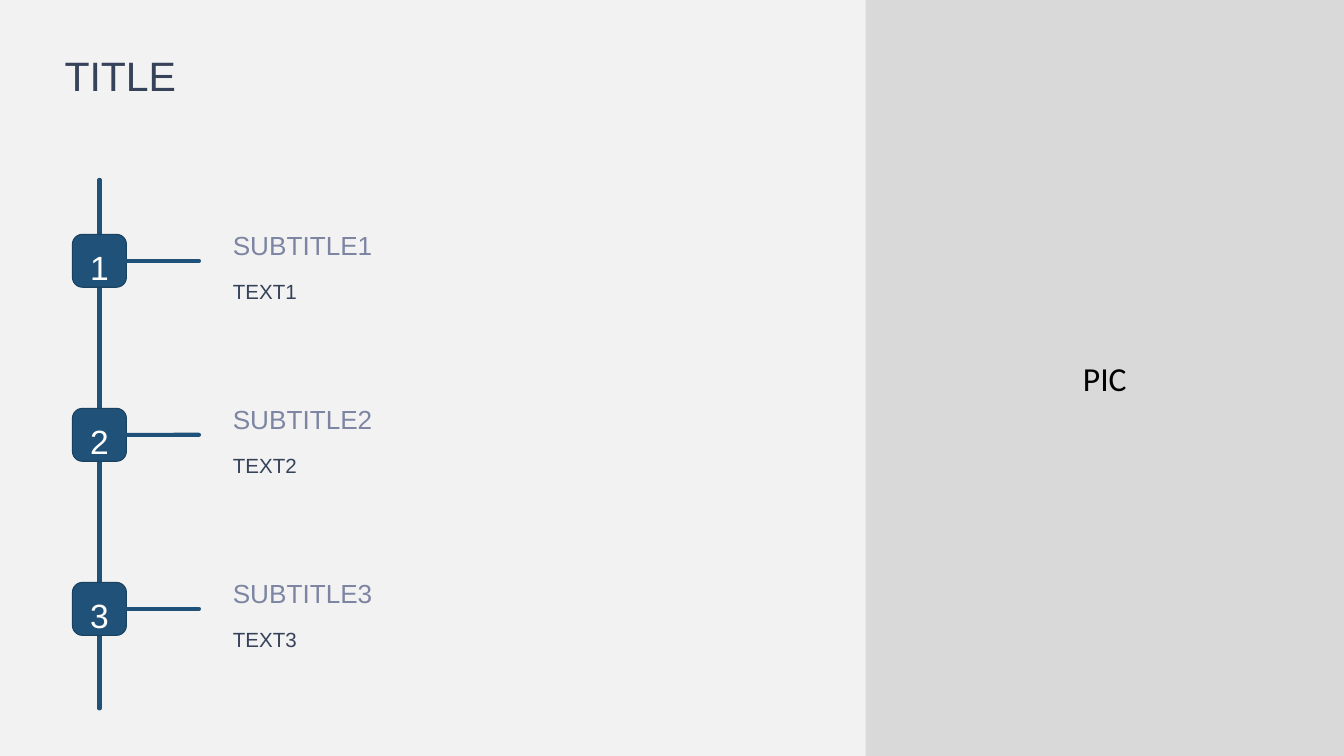
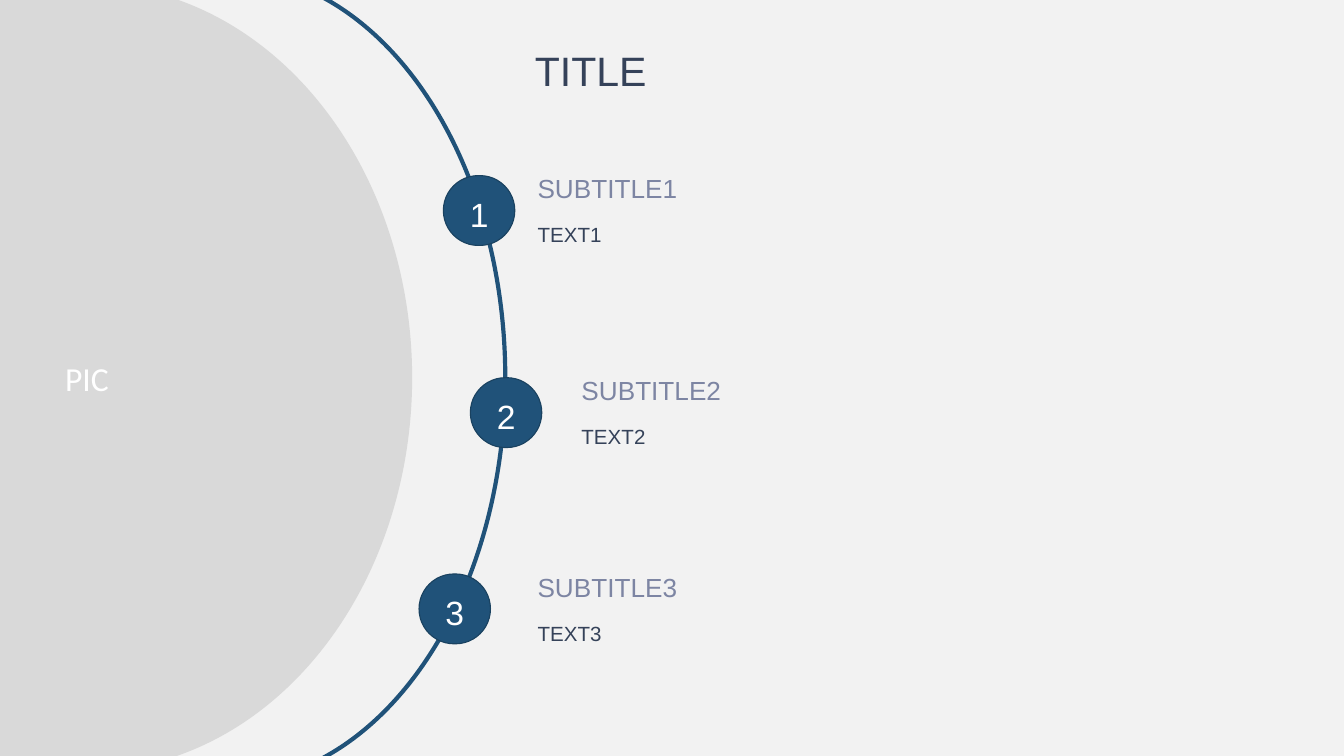
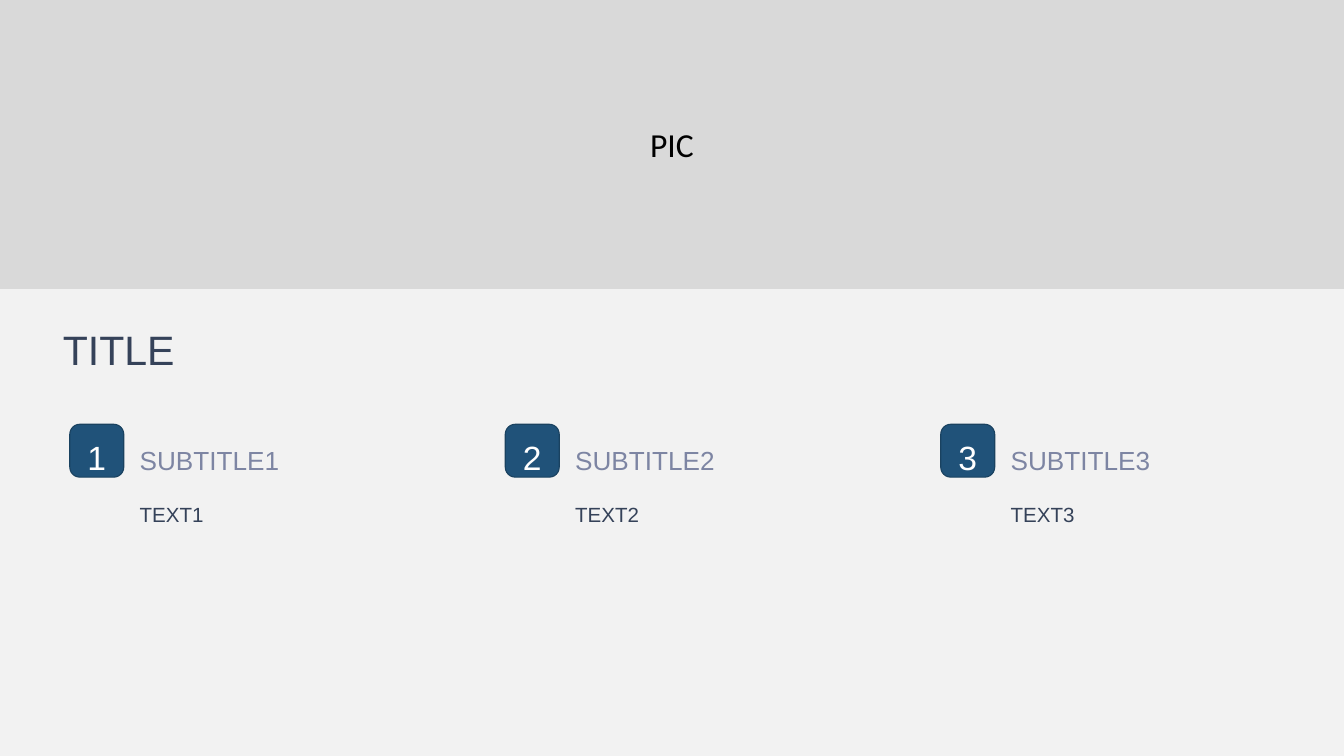
from dataclasses import dataclass

from lxml import etree
from pptx import Presentation
from pptx import util as u
from pptx.dml.color import RGBColor
from pptx.enum import shapes, text
from pptx.oxml import ns
from pptx.util import Cm

SLIDE_W, SLIDE_H = 25.4, 14.29


@dataclass(frozen=True)
class Theme:
    background: str = "F2F2F2"
    picture: str = "D9D9D9"
    accent: str = "205279"
    accent_edge: str = "1A4260"
    title: str = "354259"
    subtitle: str = "7D85A3"
    white: str = "FFFFFF"
    black: str = "000000"
    font: str = "Arial"
    picture_font: str = "Calibri"
    title_size: float = 22
    label_size: float = 18
    subtitle_size: float = 14
    body_size: float = 11
    line_width: float = 2.25
    edge_width: float = 0.6
    line_spacing: float = 1.1


class Deck:
    def __init__(self, theme):
        self.theme = theme
        self.prs = Presentation()
        self.prs.slide_width, self.prs.slide_height = Cm(SLIDE_W), Cm(SLIDE_H)
        self.s = None

    def new_slide(self):
        self.s = self.prs.slides.add_slide(self.prs.slide_layouts[6])
        self.paint(self.s.background.fill, self.theme.background)

    @staticmethod
    def paint(fill, color):
        fill.solid()
        fill.fore_color.rgb = RGBColor.from_string(color)

    def stroke(self, line, color, width):
        self.paint(line.fill, color)
        line.width = u.Pt(width)

    @staticmethod
    def set_text(tf, words, size, color, font, align):
        p = tf.paragraphs[0]
        p.text = words
        p.alignment = align
        p.font.size = u.Pt(size)
        p.font.name = font
        p.font.color.rgb = RGBColor.from_string(color)
        return p

    def text(self, words, x, y, w, h, size, color, anchor=text.MSO_ANCHOR.TOP,
             align=text.PP_ALIGN.LEFT, parent=None):
        box = (parent or self.s.shapes).add_textbox(Cm(x), Cm(y), Cm(w), Cm(h))
        tf = box.text_frame
        tf.word_wrap = True
        tf.vertical_anchor = anchor
        p = self.set_text(tf, words, size, color, self.theme.font, align)
        p.line_spacing = self.theme.line_spacing
        return box

    def shape(self, kind, x, y, w, h, corner=None, parent=None):
        sp = (parent or self.s.shapes).add_shape(kind, Cm(x), Cm(y), Cm(w), Cm(h))
        sp.shadow.inherit = False
        if corner is not None:
            sp.adjustments[0] = corner
        return sp

    def title(self, x, y, w=14.27, h=2.54):
        self.text("TITLE", x, y, w, h, self.theme.title_size, self.theme.title)

    def entry(self, n, x, y, w, subtitle_h=1.52, body_dy=1.57, body_h=1.42):
        """Subtitle n with its body text below it."""
        t = self.theme
        self.text(f"SUBTITLE{n}", x, y, w, subtitle_h, t.subtitle_size, t.subtitle,
                  text.MSO_ANCHOR.BOTTOM)
        self.text(f"TEXT{n}", x, y + body_dy, w, body_h, t.body_size, t.title)

    def badge(self, n, x, y, w=1.02, h=1.0, corner=0.19, number_dy=0.03, grouped=False):
        t = self.theme
        parent = self.s.shapes.add_group_shape().shapes if grouped else self.s.shapes
        sp = self.shape(shapes.MSO_SHAPE.ROUNDED_RECTANGLE, x, y, w, h, corner, parent)
        self.paint(sp.fill, t.accent)
        self.stroke(sp.line, t.accent_edge, t.edge_width)
        box = self.text(str(n), x, y + number_dy, w, 1.02, t.label_size, t.white,
                        align=text.PP_ALIGN.CENTER, parent=parent)
        box.text_frame.auto_size = text.MSO_AUTO_SIZE.SHAPE_TO_FIT_TEXT
        return sp

    def picture_area(self, kind, x, y, w, h, color, corner=None):
        t = self.theme
        sp = self.shape(kind, x, y, w, h, corner)
        self.paint(sp.fill, t.picture)
        sp.line.fill.background()
        sp.text_frame.vertical_anchor = text.MSO_ANCHOR.MIDDLE
        self.set_text(sp.text_frame, "PIC", t.label_size, color, t.picture_font,
                      text.PP_ALIGN.CENTER)

    def ring(self, x, y, w, h):
        sp = self.shape(shapes.MSO_SHAPE.OVAL, x, y, w, h)
        sp.fill.background()
        self.stroke(sp.line, self.theme.accent, self.theme.line_width)

    def line(self, x1, y1, x2, y2):
        cx = self.s.shapes.add_connector(shapes.MSO_CONNECTOR.STRAIGHT,
                                         Cm(x1), Cm(y1), Cm(x2), Cm(y2))
        self.stroke(cx.line, self.theme.accent, self.theme.line_width)
        props = cx._element.spPr
        props.find(ns.qn("a:ln")).set("cap", "rnd")
        etree.SubElement(props, ns.qn("a:effectLst"))
        return cx


def vertical_timeline(deck):
    deck.new_slide()
    left, top, step, size = 1.37, 4.43, 3.29, 1.02
    axis = left + size / 2
    deck.line(axis, 13.39, axis, 3.4)
    for i in range(3):
        y = top + i * step
        badge = deck.badge(i + 1, left, y)
        branch = deck.line(left + size, y + 0.5, 3.76, y + 0.5)
        branch.begin_connect(badge, 3)
        deck.entry(i + 1, 4.15, y - 0.89, 11.86)
    deck.picture_area(shapes.MSO_SHAPE.ROUNDED_RECTANGLE, 16.36, 0, SLIDE_W - 16.36, SLIDE_H,
                      deck.theme.black, corner=0)
    deck.title(0.97, 0.74)


def arc_timeline(deck):
    deck.new_slide()
    deck.ring(-1.04, -0.53, 10.59, 15.34)
    deck.picture_area(shapes.MSO_SHAPE.OVAL, -4.5, -0.3, 12.29, 14.88, deck.theme.white)
    entry_right = 23.93
    stops = [(8.38, 3.32, 9.91), (8.89, 7.14, 10.74), (7.92, 10.85, 9.91)]
    for n, (badge_x, y, entry_x) in enumerate(stops, 1):
        deck.badge(n, badge_x, y, 1.35, 1.32, corner=0.5, number_dy=0.14, grouped=True)
        deck.entry(n, entry_x, y - 0.86, entry_right - entry_x)
    deck.title(9.86, 0.64)


def three_columns(deck):
    deck.new_slide()
    left, step = 1.32, 8.23
    for i, width in enumerate((6.55, 6.55, 6.38)):
        x = left + i * step
        deck.entry(i + 1, x + 1.07, 7.14, width, subtitle_h=1.98, body_dy=2.18, body_h=4.34)
        deck.badge(i + 1, x, 8.02)
    deck.picture_area(shapes.MSO_SHAPE.ROUNDED_RECTANGLE, 0, 0, SLIDE_W, 5.46,
                      deck.theme.black, corner=0)
    deck.title(0.94, 5.92, 23.83, 1.6)


def main():
    deck = Deck(Theme())
    vertical_timeline(deck)
    arc_timeline(deck)
    three_columns(deck)
    deck.prs.save("out.pptx")


if __name__ == "__main__":
    main()
